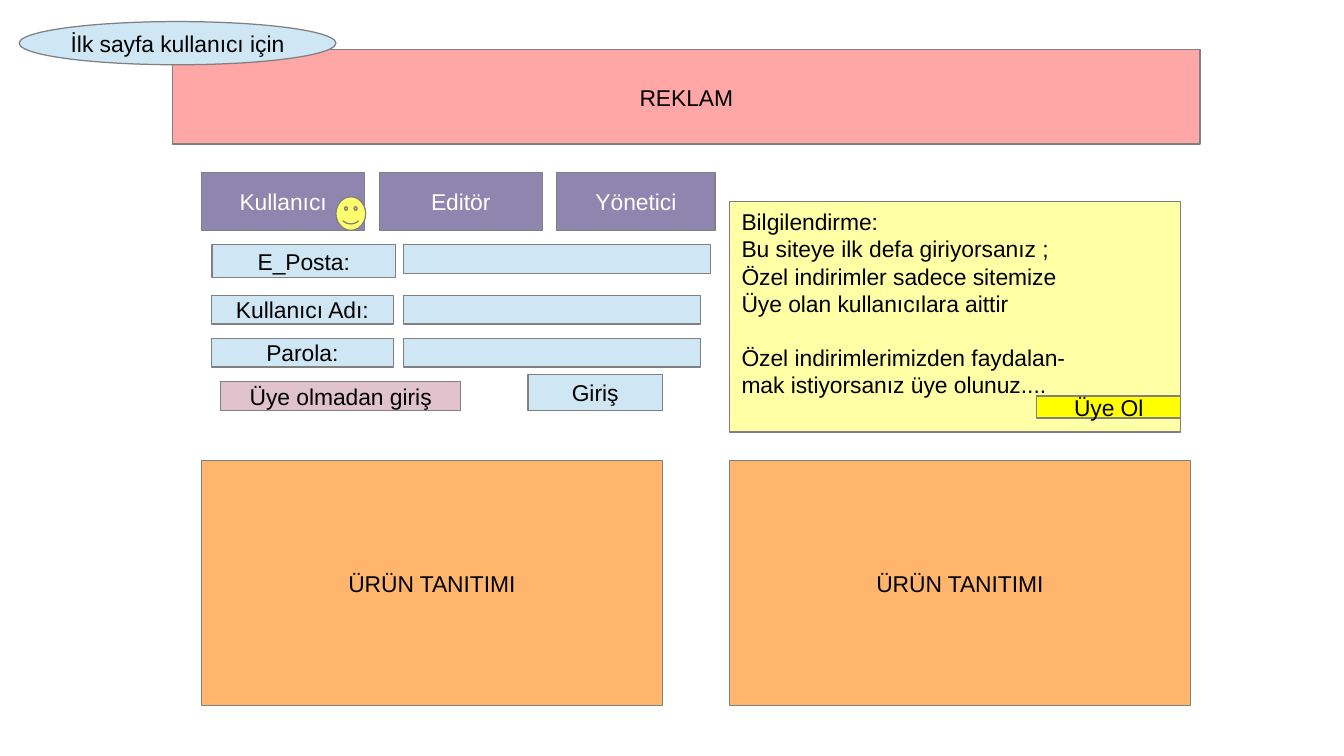
import pptx
import pptx.dml.color
import pptx.enum.shapes
import pptx.enum.text
import pptx.util

Cm = pptx.util.Cm
Pt = pptx.util.Pt
KIND = pptx.enum.shapes.MSO_SHAPE
ALIGN = pptx.enum.text.PP_ALIGN
ANCHOR = pptx.enum.text.MSO_ANCHOR

BLUE, PURPLE, ORANGE = "CFE7F5", "8E86AE", "FFB66C"
BLACK, WHITE, GRAY = "000000", "FFFFFF", "808080"


def color(code):
    return pptx.dml.color.RGBColor.from_string(code)


def add_box(place, fill, lines=(), ink=BLACK, kind=KIND.RECTANGLE, align=ALIGN.CENTER):
    """Place is left, top, width and height in centimetres."""
    box = slide.shapes.add_shape(kind, *[Cm(n) for n in place])
    box.shadow.inherit = False
    box.fill.solid()
    box.fill.fore_color.rgb = color(fill)
    box.line.color.rgb = color(GRAY)
    box.line.width = Pt(0)
    frame = box.text_frame
    frame.word_wrap = False
    frame.vertical_anchor = ANCHOR.MIDDLE
    for i, line in enumerate(lines):
        para = frame.add_paragraph() if i else frame.paragraphs[0]
        para.alignment = align
        run = para.add_run()
        run.text = line
        run.font.name = "Arial"
        run.font.size = Pt(13.5)
        run.font.color.rgb = color(ink)
    return box


deck = pptx.Presentation()
deck.slide_width = Cm(28)
deck.slide_height = Cm(15.75)
slide = deck.slides.add_slide(deck.slide_layouts[6])

add_box((3.6, 1.04, 21.4, 1.96), "FFA6A6", ["REKLAM"])

# Login form: label, left, top, width, height, field width
form = [
    ("E_Posta:", 4.42, 5.1, 3.82, 0.69, 6.4),
    ("Kullanıcı Adı:", 4.4, 6.15, 3.8, 0.6, 6.2),
    ("Parola:", 4.4, 7.05, 3.8, 0.6, 6.2),
]
for label, left, top, width, height, field in form:
    add_box((left, top, width, height), BLUE, [label])
    add_box((8.4, top, field, 0.6), BLUE)
add_box((11, 7.8, 2.8, 0.76), BLUE, ["Giriş"])
add_box((4.6, 7.95, 5, 0.6), "E0C2CD", ["Üye olmadan giriş"])

# Notice for new visitors
notice = [
    "Bilgilendirme:",
    "Bu siteye ilk defa giriyorsanız ;",
    "Özel indirimler sadece sitemize",
    "Üye olan kullanıcılara aittir",
    "Özel indirimlerimizden faydalan-",
    "mak istiyorsanız üye olunuz....",
]
panel = add_box((15.2, 4.2, 9.4, 4.8), "FFFFA6", notice, align=ALIGN.LEFT)
panel.text_frame.vertical_anchor = ANCHOR.TOP
panel.text_frame.paragraphs[4].space_before = Pt(15.5)
add_box((21.6, 8.25, 3, 0.46), "FFFF00", ["Üye Ol"])

for left in (4.2, 15.2):
    add_box((left, 9.6, 9.6, 5.1), ORANGE, ["ÜRÜN TANITIMI"])

add_box((0.4, 0.45, 6.6, 0.9), BLUE, ["İlk sayfa kullanıcı için"], kind=KIND.OVAL)

tabs = [("Kullanıcı", 3.4), ("Editör", 3.4), ("Yönetici", 3.3)]
for i, (name, width) in enumerate(tabs):
    add_box((4.2 + 3.7 * i, 3.6, width, 1.2), PURPLE, [name], WHITE)
smile = add_box((7, 4.1, 0.62, 0.7), "FFFF6D", kind=KIND.SMILEY_FACE)
smile.adjustments[0] = 0.09

deck.save("out.pptx")
